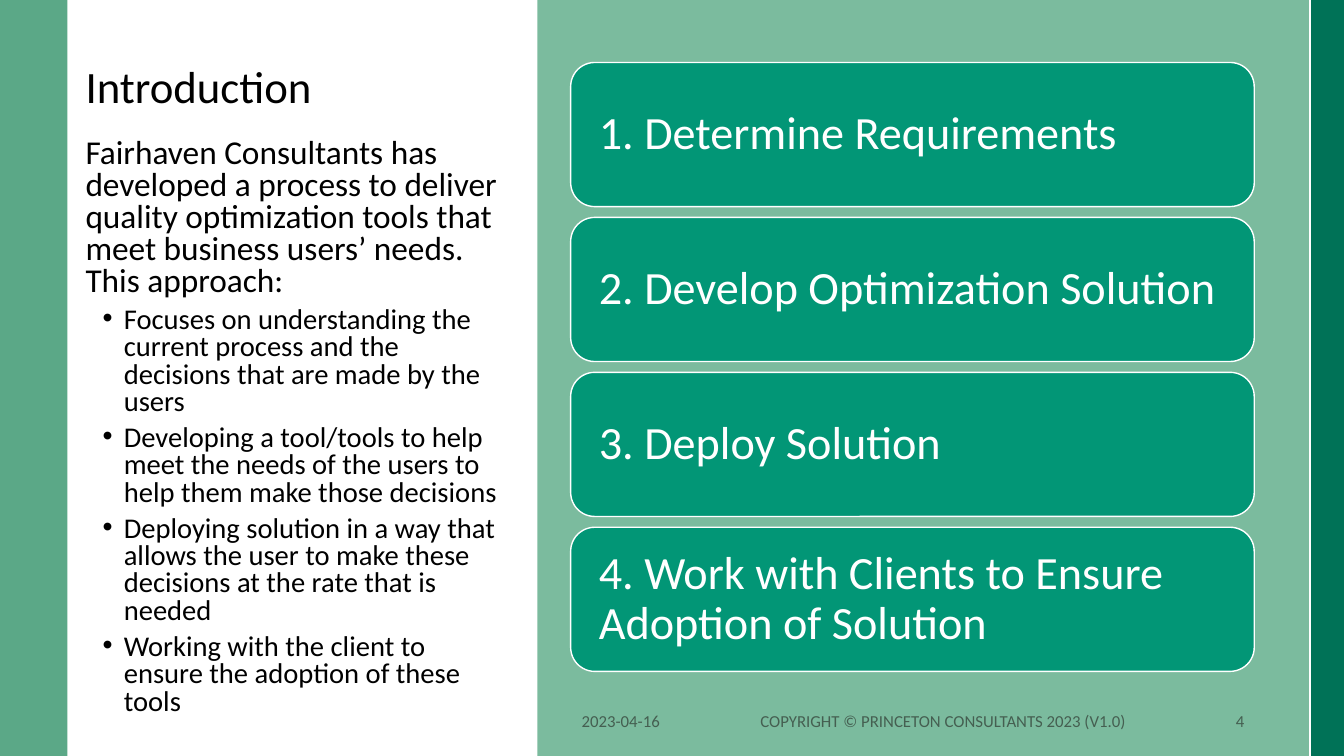
from lxml import etree
from pptx import Presentation
from pptx.dml.color import RGBColor
from pptx.enum.shapes import MSO_CONNECTOR, MSO_SHAPE
from pptx.enum.text import MSO_ANCHOR, PP_ALIGN
from pptx.oxml.ns import qn
from pptx.util import Inches, Pt

RECT, ROUND = MSO_SHAPE.RECTANGLE, MSO_SHAPE.ROUNDED_RECTANGLE
LINE = MSO_CONNECTOR.STRAIGHT
TOP, MIDDLE, BOTTOM = MSO_ANCHOR.TOP, MSO_ANCHOR.MIDDLE, MSO_ANCHOR.BOTTOM
LEFT, CENTER, RIGHT = PP_ALIGN.LEFT, PP_ALIGN.CENTER, PP_ALIGN.RIGHT

theme = {
    "font": "Calibri",
    "ink": RGBColor.from_string("000000"),
    "white": RGBColor.from_string("FFFFFF"),
    "band": RGBColor.from_string("4A9F7B"),
    "edge": RGBColor.from_string("007257"),
    "panel": RGBColor.from_string("7BBB9E"),
    "card": RGBColor.from_string("029676"),
    "muted": RGBColor.from_string("455F51"),
    "title": 32,
    "step": 33,
    "lead": 23.8,
    "point": 20.4,
    "foot": 12,
}

deck = Presentation()
deck.slide_width, deck.slide_height = Inches(13.33), Inches(7.5)
slide = deck.slides.add_slide(deck.slide_layouts[6])
shapes = slide.shapes


def draw(kind, left, top, width, height, color):
    shape = shapes.add_shape(kind, Inches(left), Inches(top), Inches(width), Inches(height))
    shape.shadow.inherit = False
    shape.fill.solid()
    shape.fill.fore_color.rgb = theme[color]
    shape.line.fill.background()
    return shape


def write(text, box=None, frame=None, size="foot", color="ink", align=LEFT,
          anchor=TOP, space=1.0, before=0, bullet=False):
    if box:
        frame = shapes.add_textbox(*map(Inches, box)).text_frame
    frame.word_wrap = True
    frame.vertical_anchor = anchor
    para = frame.add_paragraph() if frame.text else frame.paragraphs[0]
    if bullet:
        para.level = 1
        props = para._p.get_or_add_pPr()
        props.set("marL", str(Inches(0.38)))
        props.set("indent", str(Inches(-0.21)))
        etree.SubElement(props, qn("a:buFont")).set("typeface", "Arial")
        etree.SubElement(props, qn("a:buChar")).set("char", "•")
    para.alignment = align
    para.line_spacing = space
    para.space_before = Pt(before)
    run = para.add_run()
    run.text = text
    run.font.name = theme["font"]
    run.font.size = Pt(theme[size])
    run.font.color.rgb = theme[color]
    return frame


band = draw(RECT, 0, 0, 0.67, 7.5, "band")
tint = band._element.spPr.find(qn("a:solidFill"))[0]
etree.SubElement(tint, qn("a:alpha")).set("val", "90000")
draw(RECT, 13, 0, 0.33, 7.5, "edge")
draw(RECT, 5.33, 0, 7.67, 7.5, "panel")

rule = shapes.add_connector(LINE, Inches(12.99), Inches(0), Inches(12.99), Inches(7.5))
rule.line.color.rgb = theme["white"]
rule.line.width = Pt(1.5)
etree.SubElement(rule._element.spPr, qn("a:effectLst"))

write("Introduction", box=(0.75, 0.42, 4.5, 0.75), size="title", anchor=BOTTOM, space=0.9)

steps = [
    "Determine Requirements",
    "Develop Optimization Solution",
    "Deploy Solution",
    "Work with Clients to Ensure Adoption of Solution",
]
for index, step in enumerate(steps):
    card = draw(ROUND, 5.66, 0.62 + index * 1.537, 6.78, 1.43, "card")
    card.line.color.rgb = theme["white"]
    card.line.width = Pt(1)
    frame = card.text_frame
    frame.margin_left = frame.margin_right = Inches(0.21)
    write(f"{index + 1}. {step}", frame=frame, size="step", color="white",
          anchor=MIDDLE, space=0.9)

body = write(
    "Fairhaven Consultants has developed a process to deliver quality optimization "
    "tools that meet business users’ needs. This approach:",
    box=(0.75, 1.33, 4.33, 5.58), size="lead", space=0.8)
points = [
    "Focuses on understanding the current process and the decisions that are made by the users",
    "Developing a tool/tools to help meet the needs of the users to help them make those decisions",
    "Deploying solution in a way that allows the user to make these decisions "
    "at the rate that is needed",
    "Working with the client to ensure the adoption of these tools",
]
for point in points:
    write(point, frame=body, size="point", space=0.8, before=6, bullet=True)

footer = [
    ("2023-04-16", 5.67, 1.33, LEFT),
    ("COPYRIGHT © PRINCETON CONSULTANTS 2023 (V1.0)", 7.16, 4.39, CENTER),
    ("4", 11.77, 0.67, RIGHT),
]
for text, left, width, align in footer:
    write(text, box=(left, 6.95, width, 0.4), color="muted", align=align, anchor=MIDDLE)

deck.save("out.pptx")
